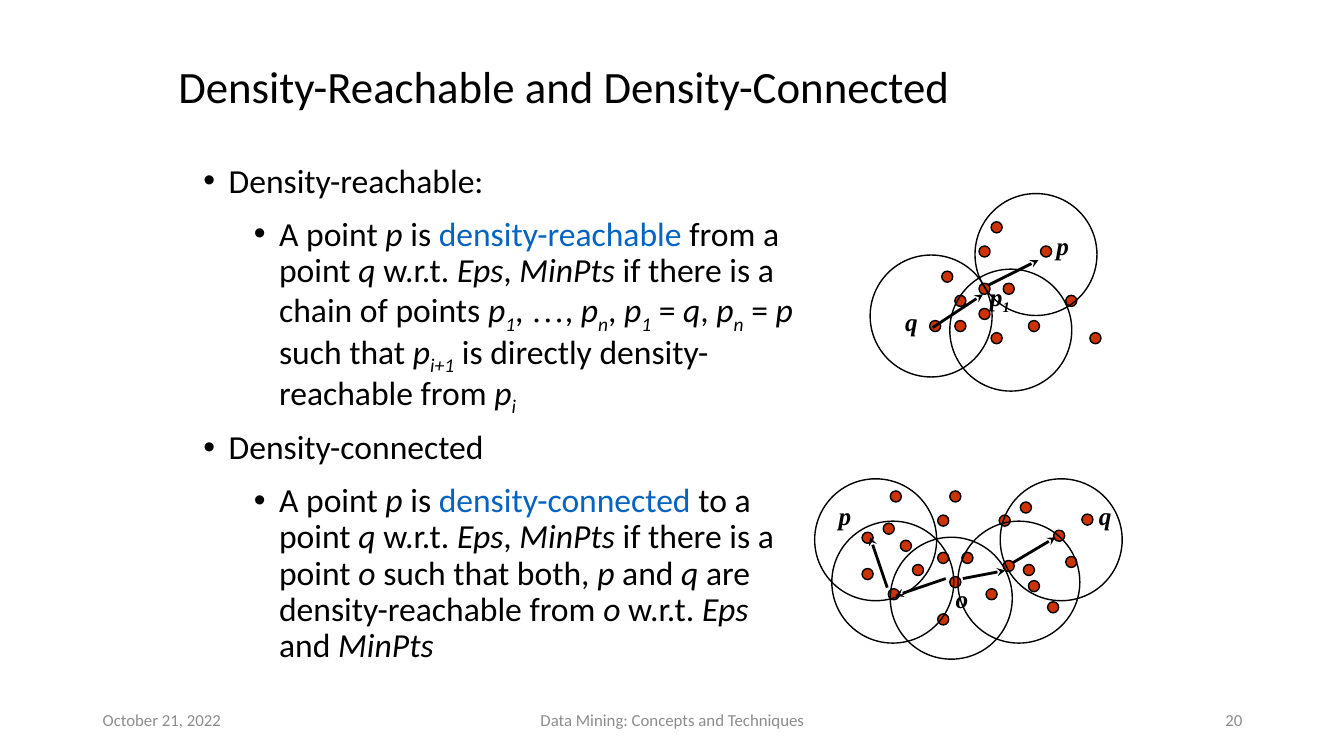
import pptx
import pptx.util
import pptx.dml.color
import pptx.enum.shapes
import pptx.enum.text
import pptx.oxml
import pptx.oxml.ns
import lxml.etree

Inches = pptx.util.Inches
Pt = pptx.util.Pt
Align = pptx.enum.text.PP_ALIGN
Anchor = pptx.enum.text.MSO_ANCHOR
SANS = "Calibri"
SERIF = "Times New Roman"
BLACK = "000000"
GRAY = "8C8C8C"
BLUE = "0563C1"
RED = "CC3300"
DOT = 0.11
RING = 1.21

BODY = [
    (0, "Density-reachable:"),
    (1, "A point |*p| is |^density-reachable| from a point |*q| w.r.t. |*Eps|, |*MinPts"
        "| if there is a chain of points |*p|_1|, |…|, |*p|_n|, |*p|_1| = |*q|, |*p|_n| = |*p"
        "| such that |*p|_i+1| is directly density-reachable from |*p|_i"),
    (0, "Density-connected"),
    (1, "A point |*p| is |^density-connected| to a point |*q| w.r.t. |*Eps|, |*MinPts"
        "| if there is a point |*o |such that both, |*p| and |*q"
        "| are density-reachable from |*o| w.r.t. |*Eps| and |*MinPts"),
]

REACH = {
    "dots": [(9.34, 2.69), (9.71, 2.81), (9.71, 2.44), (9.22, 3.18), (9.47, 2.93),
             (9.47, 3.18), (9.83, 3.3), (9.83, 2.2), (10.57, 2.93), (10.32, 2.44),
             (9.71, 3.06), (9.95, 2.81), (10.2, 3.18), (10.81, 3.3)],
    "rings": [(9.42, 2.67), (8.63, 2.53), (9.67, 1.92)],
    "labels": [("p", 10.38, 2.24, 0.42), ("q", 8.88, 2.99, 0.42), ("p|_1", 9.72, 2.74, 0.67)],
    "arrows": [(9.8, 2.83, 10.3, 2.58), (9.25, 3.25, 9.75, 2.92)],
}

CONNECT = {
    "dots": [(8.93, 5.36), (9.3, 5.48), (9.3, 5.11), (8.81, 5.84), (9.05, 5.6),
             (9.3, 6.09), (9.42, 5.72), (9.42, 4.87), (10.15, 5.6), (9.91, 5.11),
             (8.55, 5.64), (9.54, 5.48), (9.78, 5.84), (10.39, 5.97), (10.57, 5.52),
             (9.95, 5.56), (10.2, 5.76), (10.73, 5.1), (10.12, 4.98), (10.45, 5.26),
             (8.76, 5.19), (8.55, 5.28), (8.83, 4.87)],
    "rings": [(8.25, 5.17), (8.83, 5.33), (9.5, 5.17), (9.92, 4.75), (8.08, 4.75)],
    "labels": [("p", 8.22, 4.91, 0.42), ("q", 10.8, 4.91, 0.42), ("o", 9.38, 5.74, 0.42)],
    "arrows": [(9.38, 5.74, 8.88, 5.91), (9.55, 5.74, 9.97, 5.66),
               (8.8, 5.83, 8.63, 5.33), (10.05, 5.58, 10.47, 5.33)],
}


def color(code):
    return pptx.dml.color.RGBColor.from_string(code)


def add_box(slide, left, top, width, height, anchor=Anchor.TOP):
    box = slide.shapes.add_textbox(Inches(left), Inches(top), Inches(width), Inches(height))
    frame = box.text_frame
    frame.word_wrap = True
    frame.vertical_anchor = anchor
    return frame


def set_font(font, size, name=SANS, code=BLACK):
    font.size = Pt(size)
    font.name = name
    font.color.rgb = color(code)


def add_runs(para, text):
    for part in text.split("|"):
        mark = part[0] if part[0] in "*_^" else ""
        run = para.add_run()
        run.text = part[len(mark):]
        if mark in ("*", "_"):
            run.font.italic = True
        if mark == "_":
            run._r.get_or_add_rPr().set("baseline", "-25000")
        if mark == "^":
            run.font.color.rgb = color(BLUE)
        if part == "…":
            run.font.name = SERIF


def add_bullet(para, level):
    para.level = level
    props = para._p.get_or_add_pPr()
    props.set("marL", str(Inches(0.25 + 0.5 * level)))
    props.set("indent", str(-Inches(0.25)))
    for tag, key, value in (("a:buFont", "typeface", "Arial"), ("a:buChar", "char", "•")):
        lxml.etree.SubElement(props, pptx.oxml.ns.qn(tag)).set(key, value)


def add_line(slide, text, spot, size, code=BLACK, align=Align.LEFT):
    para = add_box(slide, *spot, anchor=Anchor.MIDDLE).paragraphs[0]
    para.alignment = align
    para.line_spacing = 0.9
    para.add_run().text = text
    set_font(para.font, size, code=code)


def add_body(slide):
    frame = add_box(slide, 1.92, 1.58, 6.17, 5.5)
    for index, (level, text) in enumerate(BODY):
        para = frame.add_paragraph() if index else frame.paragraphs[0]
        para.line_spacing = 0.9
        if index:
            para.space_before = Pt(12)
        add_bullet(para, level)
        add_runs(para, text)
        set_font(para.font, 24)


def add_disc(slide, left, top, size, fill=None):
    oval = pptx.enum.shapes.MSO_SHAPE.OVAL
    disc = slide.shapes.add_shape(oval, Inches(left), Inches(top), Inches(size), Inches(size))
    disc.shadow.inherit = False
    if fill:
        disc.fill.solid()
        disc.fill.fore_color.rgb = color(fill)
    else:
        disc.fill.background()
    disc.line.color.rgb = color(BLACK)
    disc.line.width = Pt(1)


def add_label(slide, text, left, top, width):
    para = add_box(slide, left, top, width, 0.4).paragraphs[0]
    add_runs(para, text)
    set_font(para.font, 18, SERIF)
    para.font.bold = True
    para.font.italic = True


def add_arrow(slide, *ends):
    kind = pptx.enum.shapes.MSO_CONNECTOR.STRAIGHT
    arrow = slide.shapes.add_connector(kind, *map(Inches, ends))
    arrow.line.color.rgb = color(BLACK)
    arrow.line.width = Pt(2)
    qn = pptx.oxml.ns.qn
    tip = lxml.etree.SubElement(arrow.line._get_or_add_ln(), qn("a:tailEnd"))
    tip.set("type", "stealth")
    lxml.etree.SubElement(arrow._element.spPr, qn("a:effectLst"))


def add_graph(slide, graph):
    for left, top in graph["dots"]:
        add_disc(slide, left, top, DOT, RED)
    for left, top in graph["rings"]:
        add_disc(slide, left, top, RING)
    for label in graph["labels"]:
        add_label(slide, *label)
    for ends in graph["arrows"]:
        add_arrow(slide, *ends)


def main():
    deck = pptx.Presentation()
    deck.slide_width = Inches(13.33)
    deck.slide_height = Inches(7.5)
    slide = deck.slides.add_slide(deck.slide_layouts[6])
    for text, left, width, align in (
        ("October 21, 2022", 0.92, 3, Align.LEFT),
        ("Data Mining: Concepts and Techniques", 4.42, 4.5, Align.CENTER),
        ("20", 9.42, 3, Align.RIGHT),
    ):
        add_line(slide, text, (left, 6.95, width, 0.4), 12, GRAY, align)
    add_line(slide, "Density-Reachable and Density-Connected", (1.67, 0.42, 10, 0.92), 32)
    add_body(slide)
    add_graph(slide, REACH)
    add_graph(slide, CONNECT)
    deck.save("out.pptx")


if __name__ == "__main__":
    main()
